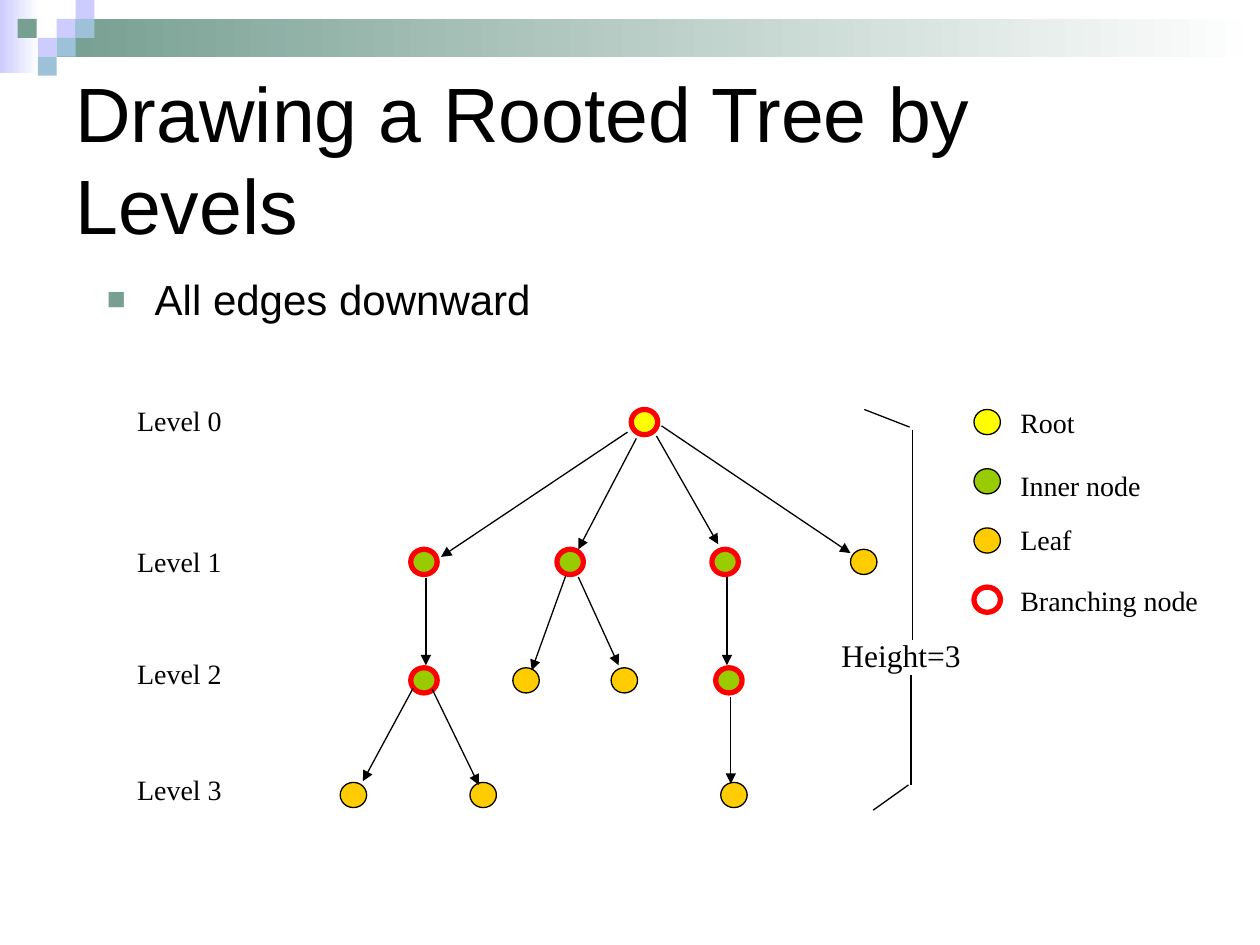
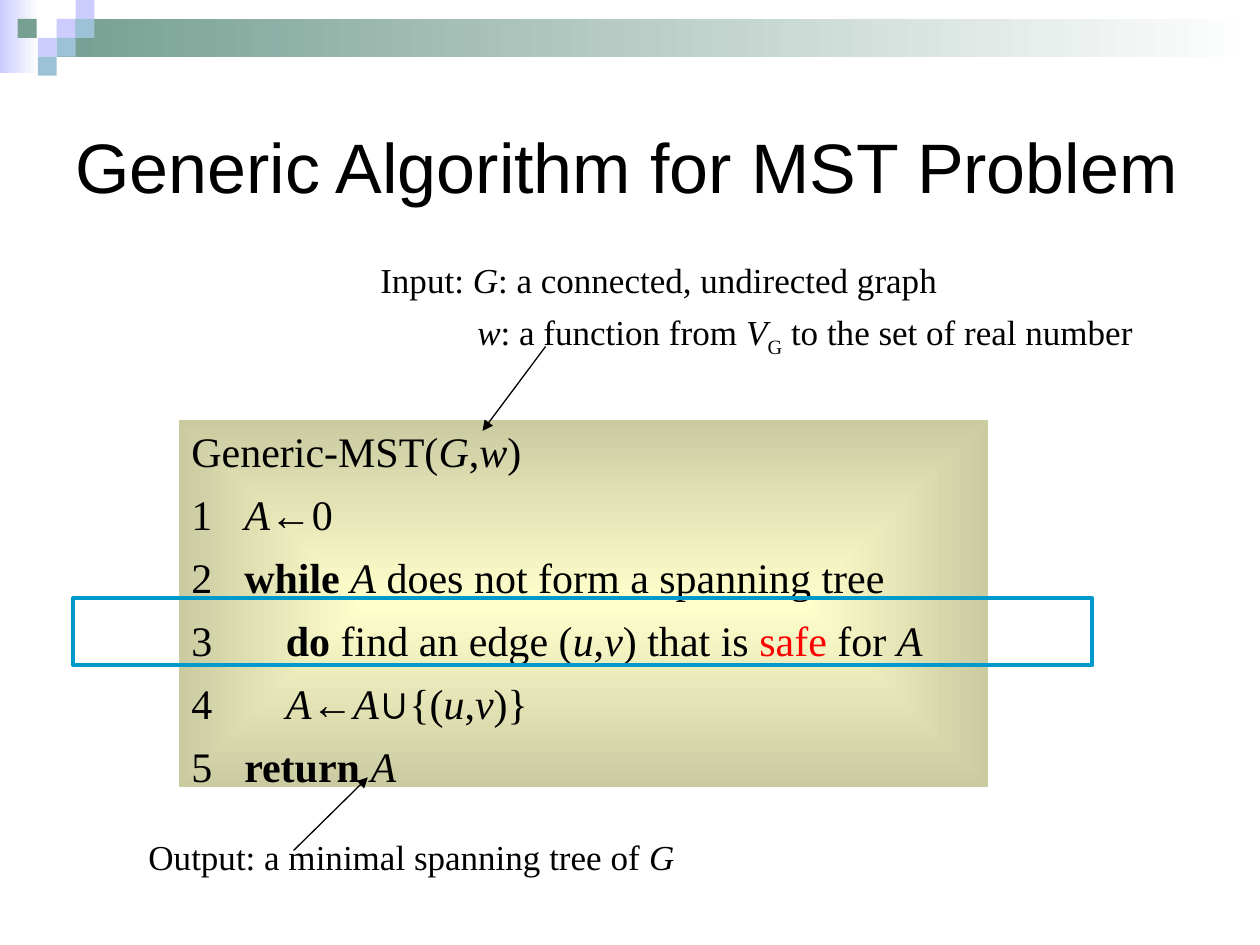
import pptx
import pptx.dml.color
import pptx.enum.shapes
import pptx.enum.text
import pptx.oxml
import pptx.oxml.ns
import pptx.util
from pptx.util import Inches

SANS, SERIF = "Arial", "Times New Roman"
BLACK, WHITE, RED = "000000", "FFFFFF", "FF0000"
LAVENDER, SKY, SAGE = "CCCCFF", "9DC2D7", "779F92"
YELLOW, GREEN, ORANGE, BLUE = "FFFF00", "99CC00", "FFCC00", "0099CC"
CREAM, KHAKI = "FFFFCC", "CBCBA2"
SHAPES = pptx.enum.shapes.MSO_SHAPE
ANCHORS = pptx.enum.text.MSO_ANCHOR

# Run styles: italic, bold, highlighted, subscript, symbol
ITALIC, BOLD, HOT, SUB, SYMBOL = "italic", "bold", "hot", "sub", "symbol"


def color(value):
    return pptx.dml.color.RGBColor.from_string(value)


def xml(markup):
    """Parse one drawing element given without its namespace."""
    name, rest = markup[1:].split(" ", 1)
    return pptx.oxml.parse_xml(
        f"<a:{name} {pptx.oxml.ns.nsdecls('a')} {rest}")


def add_shape(slide, kind, box, fill=None, line=None, width=0.74):
    shape = slide.shapes.add_shape(kind, *map(Inches, box))
    shape.shadow.inherit = False
    if isinstance(fill, tuple):
        shape.fill.gradient()
        shape.fill.gradient_angle = 0
        for stop, value in zip(shape.fill.gradient_stops, fill):
            stop.color.rgb = color(value)
    elif fill:
        shape.fill.solid()
        shape.fill.fore_color.rgb = color(fill)
    else:
        shape.fill.background()
    if line:
        shape.line.color.rgb = color(line)
        shape.line.width = pptx.util.Pt(width)
    else:
        shape.line.fill.background()
    return shape


def add_line(slide, origin, start, end, arrow=False):
    left, top = origin
    line = slide.shapes.add_connector(
        pptx.enum.shapes.MSO_CONNECTOR.STRAIGHT,
        Inches(left + start[0]), Inches(top + start[1]),
        Inches(left + end[0]), Inches(top + end[1]))
    line.line.color.rgb = color(BLACK)
    line.line.width = pptx.util.Pt(0.74)
    properties = line._element.spPr
    if arrow:
        outline = properties.find(pptx.oxml.ns.qn("a:ln"))
        outline.append(xml('<tailEnd type="triangle"/>'))
    properties.append(xml("<effectLst />"))


def write_text(shape, paragraphs, size, font, before=0, anchor=ANCHORS.TOP):
    """Fill a shape; each paragraph is (hanging indent, [(text, style)])."""
    frame = shape.text_frame
    frame.word_wrap = True
    frame.vertical_anchor = anchor
    for index, (indent, runs) in enumerate(paragraphs):
        paragraph = frame.add_paragraph() if index else frame.paragraphs[0]
        paragraph.alignment = pptx.enum.text.PP_ALIGN.LEFT
        paragraph.space_before = pptx.util.Pt(before)
        if indent:
            properties = paragraph._p.get_or_add_pPr()
            properties.set("marL", str(Inches(indent)))
            properties.set("indent", str(-Inches(indent)))
        for text, style in runs:
            run = paragraph.add_run()
            run.text = text
            run.font.size = pptx.util.Pt(size)
            run.font.name = SANS if style == SYMBOL else font
            run.font.color.rgb = color(RED if style == HOT else BLACK)
            run.font.italic = style == ITALIC
            run.font.bold = style == BOLD
            if style == SUB:
                run._r.get_or_add_rPr().set("baseline", "-25000")
    return frame


def add_text(slide, box, paragraphs, size, font=SERIF, **options):
    if isinstance(paragraphs, str):
        paragraphs = [(0, [(paragraphs, None)])]
    shape = slide.shapes.add_textbox(*map(Inches, box))
    return write_text(shape, paragraphs, size, font, **options)


def add_band(slide):
    """Gradient bars and the stepped squares in the top corner."""
    add_shape(slide, SHAPES.RECTANGLE, (0, 0, 0.31, 0.58), (LAVENDER, WHITE))
    add_shape(slide, SHAPES.RECTANGLE, (0.45, 0.15, 9.55, 0.3), (SAGE, WHITE))
    side = 0.15
    squares = [(0.45, 0.15, LAVENDER), (0.6, 0, LAVENDER), (0.6, 0.15, SKY),
               (0.3, 0.3, LAVENDER), (0.14, 0.15, SAGE), (0.45, 0.3, SKY),
               (0.3, 0.45, SKY)]
    for left, top, fill in squares:
        add_shape(slide, SHAPES.RECTANGLE, (left, top, side, side), fill)


def start_slide(presentation, title, box, size):
    slide = presentation.slides.add_slide(presentation.slide_layouts[6])
    add_band(slide)
    add_text(slide, box, title, size, SANS, anchor=ANCHORS.MIDDLE)
    return slide


def add_bullet(slide, box, text):
    frame = add_text(slide, box, [(0.38, [(text, None)])], 24, SANS, before=6)
    properties = frame.paragraphs[0]._p.get_or_add_pPr()
    for markup in (f'<buClr ><a:srgbClr val="{SAGE}"/></a:buClr>',
                   '<buSzPct val="75000"/>',
                   f'<buFont typeface="{SANS}"/>',
                   '<buChar char="■"/>'):
        properties.append(xml(markup))


def add_node(slide, left, top, fill, branching):
    line, width = (RED, 3) if branching else (BLACK, 0.74)
    add_shape(slide, SHAPES.OVAL, (left, top, 0.21, 0.2), fill, line, width)


def add_tree(slide, left, top):
    # Nodes, level by level; every node but a leaf branches
    levels = [
        (0, [(2.31, YELLOW)]),
        (1.11, [(0.56, GREEN), (1.72, GREEN), (2.95, GREEN), (4.05, ORANGE)]),
        (2.05, [(0.56, GREEN), (1.37, ORANGE), (2.15, ORANGE), (2.98, GREEN)]),
        (2.96, [(0, ORANGE), (1.03, ORANGE), (3.02, ORANGE)]),
    ]
    for level_top, nodes in levels:
        for node_left, fill in nodes:
            add_node(slide, left + node_left, top + level_top, fill,
                     fill != ORANGE)
    # Edges from parent to child
    edges = [
        ((2.28, 0.18), (0.8, 1.17)), ((2.35, 0.23), (1.89, 1.11)),
        ((2.51, 0.21), (3, 1.07)), ((2.55, 0.13), (4.05, 1.14)),
        ((0.68, 1.34), (0.68, 2.03)), ((1.79, 1.32), (1.52, 2.07)),
        ((1.89, 1.33), (2.21, 2.03)), ((3.07, 1.33), (3.07, 2.03)),
        ((0.58, 2.21), (0.18, 2.95)), ((0.73, 2.22), (1.1, 2.98)),
        ((3.1, 2.28), (3.1, 2.97)),
    ]
    for start, end in edges:
        add_line(slide, (left, top), start, end, arrow=True)


def add_level_labels(slide, left, top):
    for level, offset in enumerate((0, 1.12, 2.01, 2.93)):
        add_text(slide, (left, top + offset, 1.47, 0.48), f"Level {level}", 16)


def add_legend(slide, left, top):
    entries = [("Root", YELLOW, -0.08), ("Inner node", GREEN, 0.42),
               ("Leaf", ORANGE, 0.85), ("Branching node", None, 1.33)]
    for index, (label, fill, label_top) in enumerate(entries):
        add_node(slide, left, top + index * 0.47, fill, fill is None)
        add_text(slide, (left + 0.27, top + label_top, 1.75, 0.56), label, 16)


def add_height_bracket(slide, left, top):
    strokes = [((0.66, 0.16), (0.66, 1.83)), ((0.65, 2.11), (0.65, 2.98)),
               ((0.64, 0.14), (0.28, 0)), ((0.63, 2.98), (0.35, 3.18))]
    for start, end in strokes:
        add_line(slide, (left, top), start, end)
    add_text(slide, (left, top + 1.75, 1.34, 0.56), "Height=3", 18)


def add_algorithm(slide, box):
    step, nested = 0.42, 0.75
    lines = [
        (0, [("Generic-MST(", None), ("G", ITALIC), (",", None),
             ("w", ITALIC), (")", None)]),
        (step, [("1\t", None), ("A", ITALIC), ("←", SYMBOL), ("0", None)]),
        (step, [("2\t", None), ("while ", BOLD), ("A", ITALIC),
                (" does not form a spanning tree", None)]),
        (nested, [("3\t", None), ("do", BOLD), (" find an edge (", None),
                  ("u", ITALIC), (",", None), ("v", ITALIC),
                  (") that is ", None), ("safe", HOT), (" for ", None),
                  ("A", ITALIC)]),
        (nested, [("4\t", None), ("A", ITALIC), ("←", SYMBOL), ("A", ITALIC),
                  ("∪", SYMBOL), ("{(", None), ("u", ITALIC), (",", None),
                  ("v", ITALIC), (")}", None)]),
        (step, [("5\t", None), ("return ", BOLD), ("A", ITALIC)]),
    ]
    panel = add_shape(slide, SHAPES.RECTANGLE, box, (CREAM, KHAKI))
    # Let the gradient run from the centre to the edges
    gradient = panel._element.spPr.find(pptx.oxml.ns.qn("a:gradFill"))
    gradient.remove(gradient.find(pptx.oxml.ns.qn("a:lin")))
    gradient.append(xml('<path path="rect"><a:fillToRect l="50000" t="50000" '
                        'r="50000" b="50000"/></a:path>'))
    write_text(panel, lines, 24, SERIF, before=7.2)


def add_input_note(slide, box):
    add_text(slide, box, [
        (0, [("Input: ", None), ("G", ITALIC),
             (": a connected, undirected graph", None)]),
        (0.77, [("\t", None), ("w", ITALIC), (": a function from ", None),
                ("V", ITALIC), ("G", SUB),
                (" to the set of real number", None)]),
    ], 20, before=6)


def add_output_note(slide, box):
    add_text(slide, box, [
        (0, [("Output: a minimal spanning tree of ", None), ("G", ITALIC)]),
    ], 20)


def build_tree_slide(presentation):
    slide = start_slide(presentation, "Drawing a Rooted Tree by Levels",
                        (0.5, 0.5, 9, 1.5), 44)
    add_bullet(slide, (0.75, 2.12, 8.23, 4.5), "All edges downward")
    add_tree(slide, 2.7, 3.25)
    add_legend(slide, 7.73, 3.25)
    add_level_labels(slide, 0.99, 3.15)
    add_height_bracket(slide, 6.58, 3.25)


def build_algorithm_slide(presentation):
    slide = start_slide(presentation, "Generic Algorithm for MST Problem",
                        (0.5, 0.62, 9, 1.38), 40)
    add_algorithm(slide, (1.42, 3.33, 6.42, 2.92))
    add_input_note(slide, (2.92, 2, 6.33, 0.88))
    add_line(slide, (0, 0), (4.33, 2.75), (3.83, 3.42), arrow=True)
    add_output_note(slide, (1.08, 6.58, 6.33, 0.44))
    add_line(slide, (0, 0), (2.33, 6.75), (2.92, 6.17), arrow=True)
    # Frame around the key step
    add_shape(slide, SHAPES.RECTANGLE, (0.58, 4.75, 8.09, 0.53),
              line=BLUE, width=2.24)


presentation = pptx.Presentation()
presentation.slide_width = Inches(10)
presentation.slide_height = Inches(7.5)
build_tree_slide(presentation)
build_algorithm_slide(presentation)
presentation.save("out.pptx")
